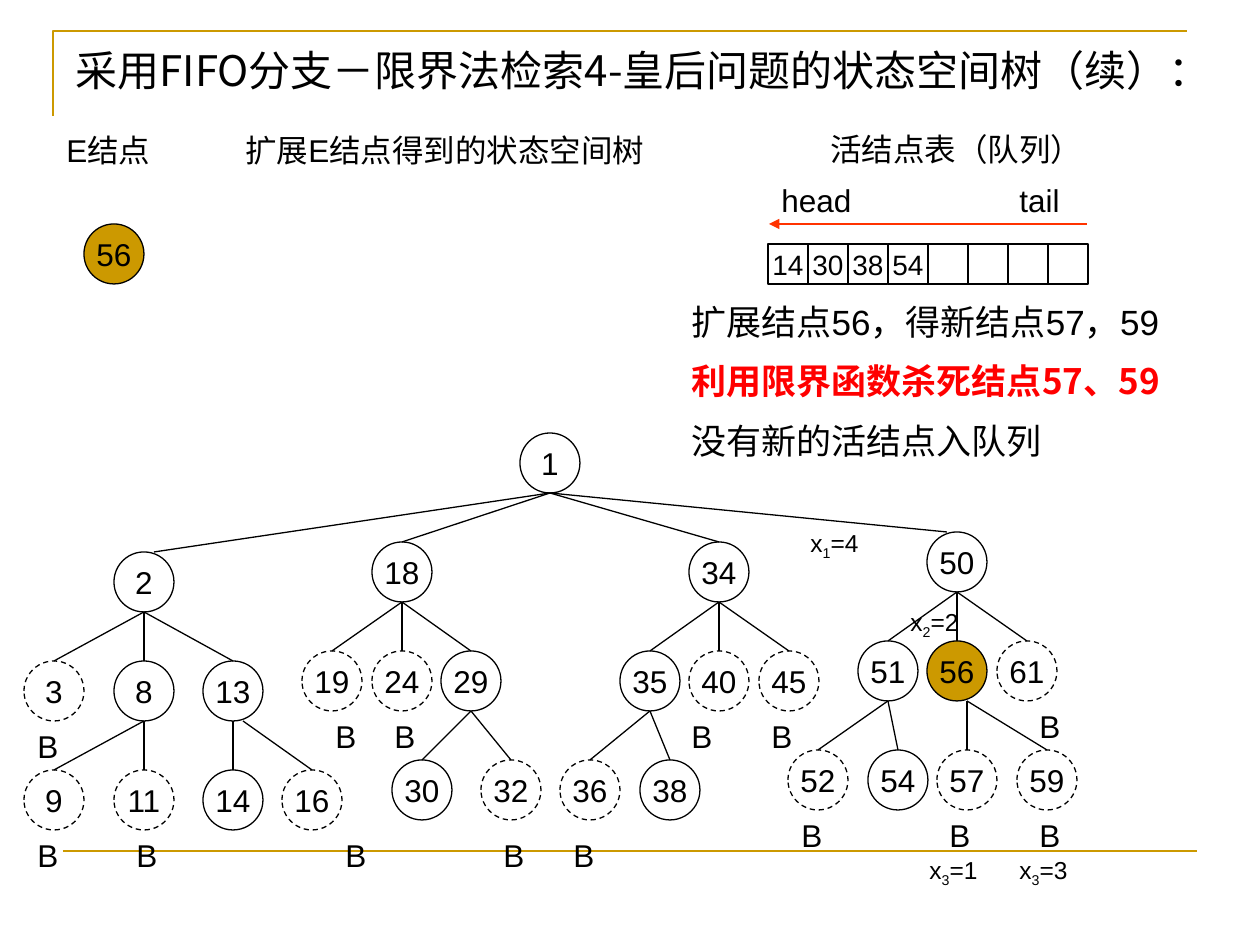
import pptx
import pptx.util
import pptx.dml.color
import pptx.enum.dml
import pptx.enum.shapes
import pptx.enum.text
import pptx.oxml
import pptx.oxml.ns

PX = 914400 // 126
GOLD = pptx.dml.color.RGBColor(0xCC, 0x99, 0x00)
BLACK = pptx.dml.color.RGBColor(0, 0, 0)
RED = pptx.dml.color.RGBColor(0xFF, 0, 0)
FLAME = pptx.dml.color.RGBColor(0xFF, 0x33, 0x00)
SANS = "Arial"
HAN = "Noto Sans CJK SC"
KIND = pptx.enum.shapes.MSO_SHAPE
ANCHOR = pptx.enum.text.MSO_ANCHOR
SIZE = 60

deck = pptx.Presentation()
deck.slide_width, deck.slide_height = 1260 * PX, 945 * PX
slide = deck.slides.add_slide(deck.slide_layouts[5])
shapes = slide.shapes


def mark(kind, left, top, size, label, points, fill=None, dash=False):
    """Draw an outlined shape with a centred label."""
    shape = shapes.add_shape(kind, left * PX, top * PX, size * PX, size * PX)
    shape.shadow.inherit = False
    if fill is None:
        shape.fill.background()
    else:
        shape.fill.solid()
        shape.fill.fore_color.rgb = fill
    shape.line.color.rgb = BLACK
    shape.line.width = pptx.util.Pt(0.75)
    if dash:
        shape.line.dash_style = pptx.enum.dml.MSO_LINE.DASH
    if label:
        frame = shape.text_frame
        frame.word_wrap = False
        frame.vertical_anchor = ANCHOR.MIDDLE
        para = frame.paragraphs[0]
        para.text = str(label)
        para.alignment = pptx.enum.text.PP_ALIGN.CENTER
        para.font.name = SANS
        para.font.size = pptx.util.Pt(points)
        para.font.color.rgb = BLACK


def link(x1, y1, x2, y2, color=BLACK, width=0.75):
    """Draw a straight line and return it."""
    line = shapes.add_connector(pptx.enum.shapes.MSO_CONNECTOR.STRAIGHT,
                                x1 * PX, y1 * PX, x2 * PX, y2 * PX)
    line.line.color.rgb = color
    line.line.width = pptx.util.Pt(width)
    props = line._element.spPr
    props.append(pptx.oxml.parse_xml(
        "<a:effectLst %s/>" % pptx.oxml.ns.nsdecls("a")))
    return line


# Frame lines
pen = shapes.build_freeform(53, 116, scale=PX)
pen.add_line_segments([(53, 31), (1187, 31)], close=False)
frame = pen.convert_to_shape()
frame.shadow.inherit = False
frame.fill.background()
frame.line.color.rgb = GOLD
frame.line.width = pptx.util.Pt(1.5)
link(63, 851, 1197, 851, GOLD, 1.5)

# Title
title = shapes.title
title.left, title.top, title.width, title.height = (
    63 * PX, 38 * PX, 1172 * PX, 77 * PX)
title.text_frame.vertical_anchor = ANCHOR.TOP
title.text_frame.auto_size = pptx.enum.text.MSO_AUTO_SIZE.NONE
para = title.text_frame.paragraphs[0]
para.text = "采用FIFO分支－限界法检索4-皇后问题的状态空间树（续）："
para.alignment = pptx.enum.text.PP_ALIGN.LEFT
para.font.name = HAN
para.font.size = pptx.util.Pt(24)
para.font.color.rgb = BLACK

# Tree: label, centre, top, parent, dashed
nodes = [
    (1, 550, 433, None, False),
    (2, 144, 552, 1, False), (18, 402, 542, 1, False),
    (34, 719, 542, 1, False), (50, 957, 532, 1, False),
    (3, 54, 661, 2, True), (8, 144, 661, 2, False), (13, 233, 661, 2, False),
    (19, 332, 651, 18, True), (24, 402, 651, 18, True),
    (29, 471, 651, 18, False),
    (35, 650, 651, 34, False), (40, 719, 651, 34, True),
    (45, 789, 651, 34, True),
    (51, 888, 641, 50, False), (56, 957, 641, 50, False),
    (61, 1027, 641, 50, True),
    (9, 54, 770, 8, True), (11, 144, 770, 8, True),
    (14, 233, 770, 13, False), (16, 312, 770, 13, True),
    (30, 422, 760, 29, False), (32, 511, 760, 29, True),
    (36, 590, 760, 35, True), (38, 670, 760, 35, False),
    (52, 818, 750, 51, True), (54, 898, 750, 51, False),
    (57, 967, 750, 56, True), (59, 1047, 750, 56, True),
]
# Sideways shifts of the line ends, by child
starts = {16: 10, 57: 10, 59: 10}
ends = {2: 10, 50: -10}
spots = {}
for label, mid, top, up, dash in nodes:
    spots[label] = (mid, top + SIZE)
    if up:
        x, y = spots[up]
        link(x + starts.get(label, 0), y, mid + ends.get(label, 0), top)
    mark(KIND.OVAL, mid - SIZE // 2, top, SIZE, label, 18,
         GOLD if label == 56 else None, dash)
mark(KIND.OVAL, 84, 224, SIZE, 56, 18, GOLD)

# Queue
for i, label in enumerate([14, 30, 38, 54] + [None] * 4):
    mark(KIND.RECTANGLE, 768 + 40 * i, 244, 40, label, 16)
arrow = link(1087, 224, 769, 224, FLAME)
arrow.line._get_or_add_ln().append(pptx.oxml.parse_xml(
    '<a:tailEnd %s type="triangle"/>' % pptx.oxml.ns.nsdecls("a")))

# Notes: left, top, width, size, text; the part between bars is a subscript
notes = [
    (54, 125, 139, 18, "E结点"),
    (233, 125, 427, 18, "扩展E结点得到的状态空间树"),
    (818, 124, 277, 18, "活结点表（队列）"),
    (769, 175, 118, 18, "head"), (1007, 175, 118, 18, "tail"),
    (798, 522, 100, 14, "x|1|=4"), (898, 601, 100, 14, "x|2|=2"),
    (917, 849, 100, 14, "x|3|=1"), (1007, 849, 100, 14, "x|3|=3"),
]
kills = [(25, 721), (323, 711), (382, 711), (679, 711), (759, 711),
         (1027, 701), (25, 830), (124, 830), (333, 830), (491, 830),
         (561, 830), (789, 810), (937, 810), (1027, 810)]
notes += [(x, y, 89, 18, "B") for x, y in kills]
for left, top, width, points, words in notes:
    box = shapes.add_textbox(left * PX, top * PX, width * PX,
                             (points * 2 + 14) * PX)
    box.text_frame.word_wrap = True
    para = box.text_frame.paragraphs[0]
    para.font.name = SANS
    para.font.size = pptx.util.Pt(points)
    para.font.color.rgb = BLACK
    for i, part in enumerate(words.split("|")):
        run = para.add_run()
        run.text = part
        if i == 1:
            run._r.get_or_add_rPr().set("baseline", "-25000")

# Steps
box = shapes.add_textbox(679 * PX, 294 * PX, 556 * PX, 183 * PX)
box.text_frame.word_wrap = True
box.text_frame.text = "扩展结点56，得新结点57，59\n利用限界函数杀死结点57、59\n没有新的活结点入队列"
for i, para in enumerate(box.text_frame.paragraphs):
    para.space_before = pptx.util.Pt(10 if i else 0)
    para.font.size = pptx.util.Pt(20)
    para.font.name = HAN if i == 1 else SANS
    para.font.bold = i == 1
    para.font.color.rgb = RED if i == 1 else BLACK

deck.save("out.pptx")
